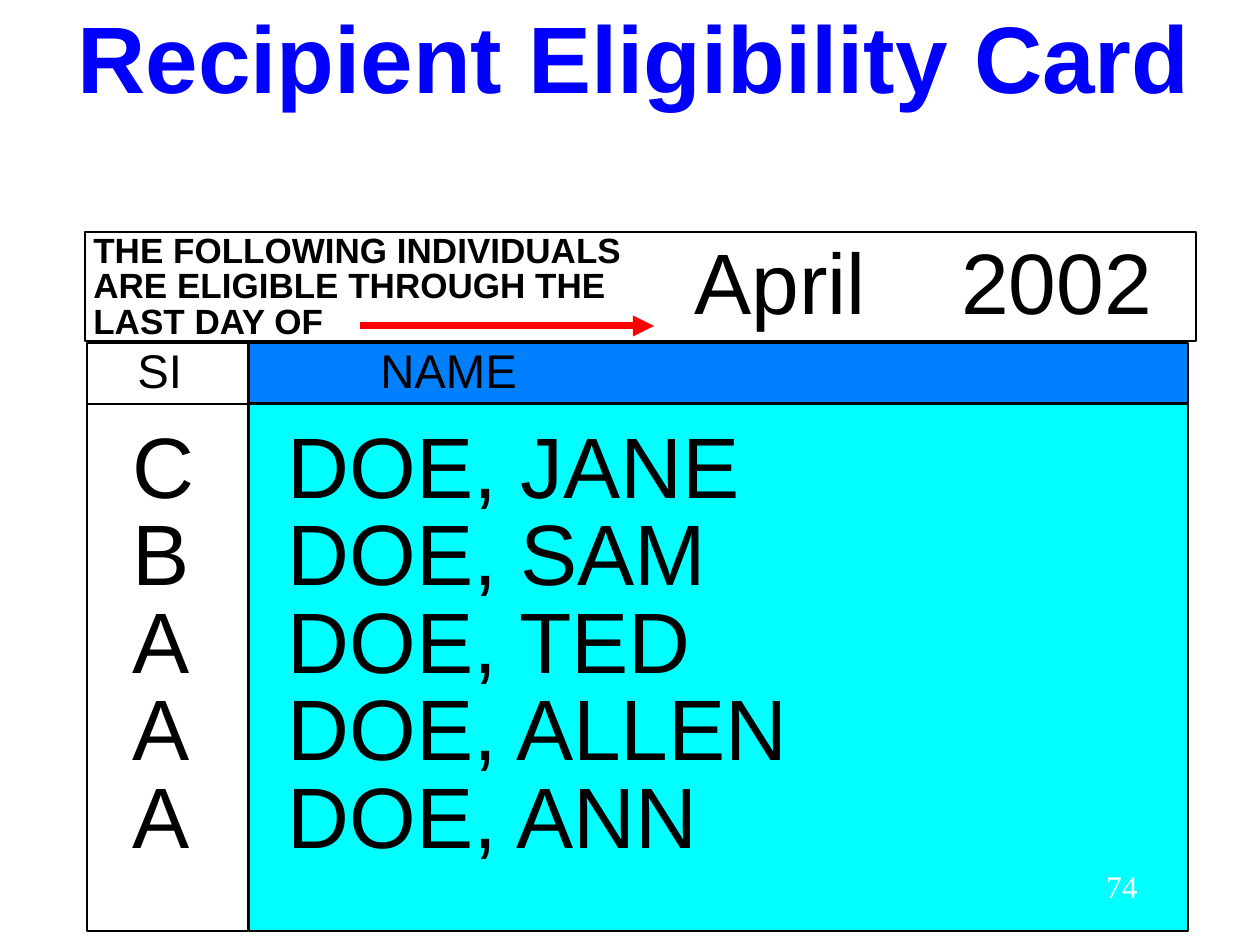
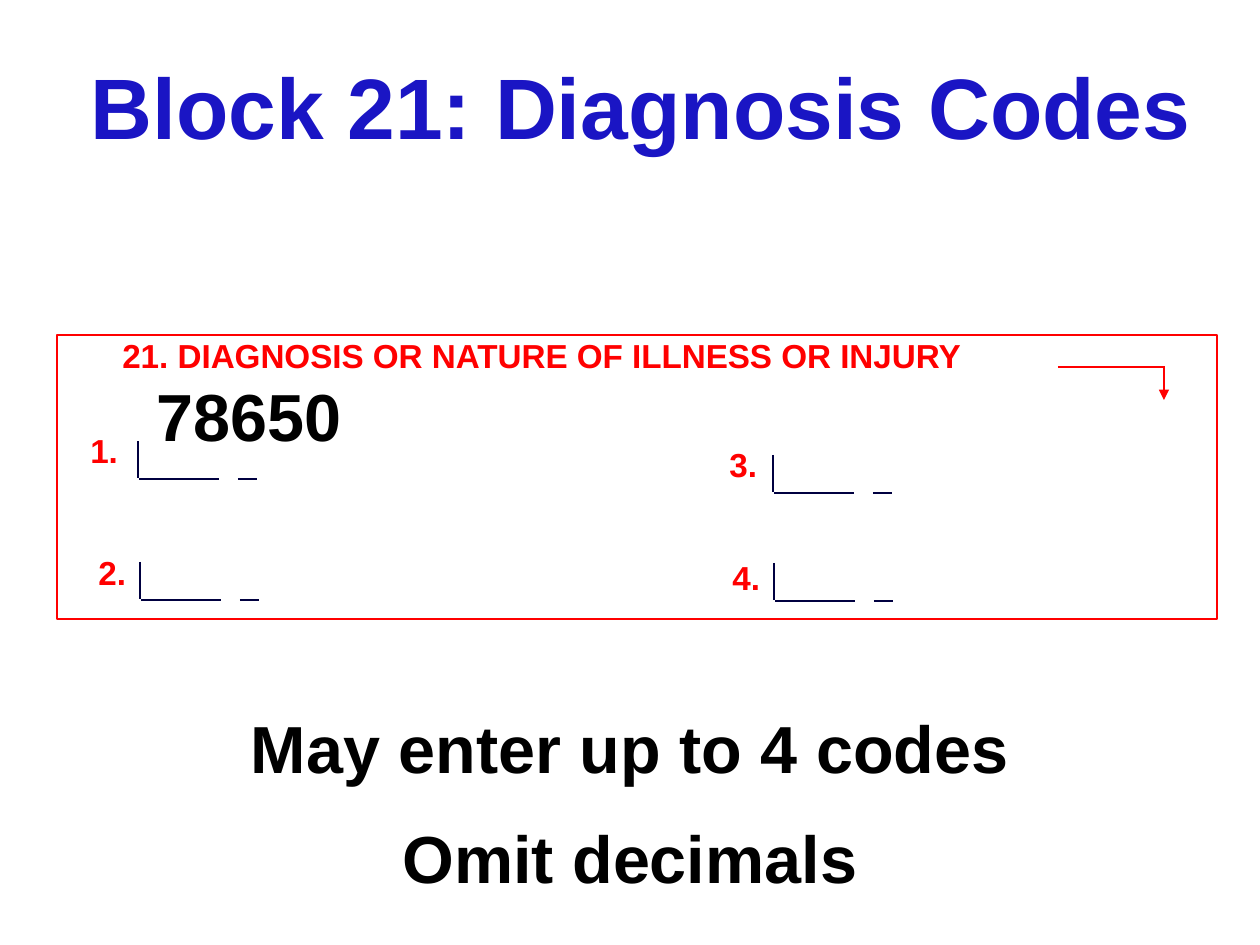
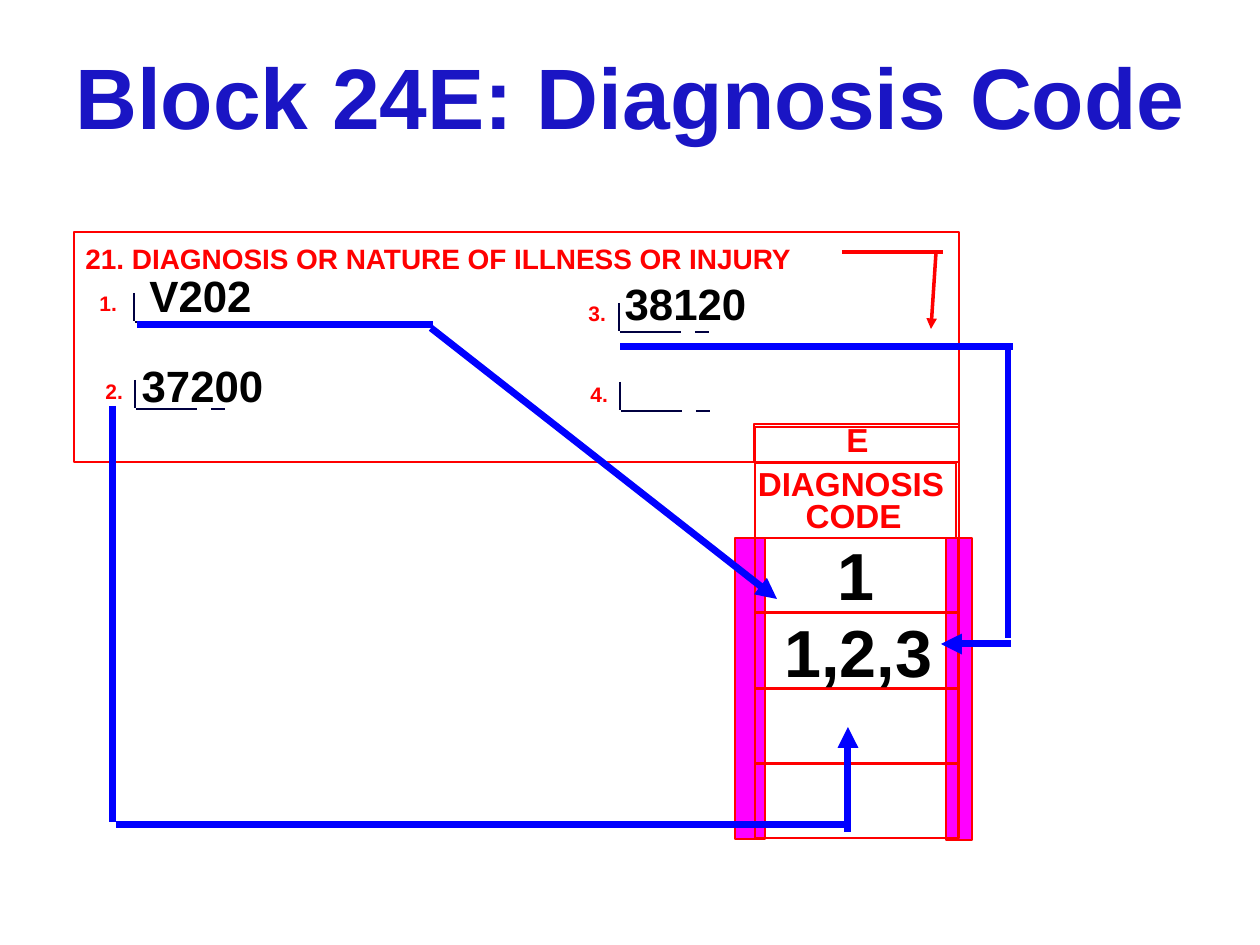
from lxml.etree import SubElement
from pptx import Presentation
from pptx.dml.color import RGBColor
from pptx.enum.shapes import MSO_CONNECTOR, MSO_SHAPE
from pptx.enum.text import MSO_ANCHOR, MSO_AUTO_SIZE, PP_ALIGN
from pptx.oxml.ns import qn
from pptx.util import Emu, Inches, Pt

PX = 914400 / 126
COLORS = {
    "black": "000000", "white": "FFFFFF", "red": "FF0000", "blue": "0000FF",
    "title": "1A15C4", "navy": "000040", "cyan": "00FFFF",
    "azure": "0080FF", "magenta": "FF00FF",
}
TWO_LISTS, ONE_LIST, TITLE_ONLY = 3, 1, 5

CARD_TITLE = "Recipient Eligibility Card"
RECIPIENTS = [("C", "DOE, JANE"), ("B", "DOE, SAM"), ("A", "DOE, TED"),
              ("A", "DOE, ALLEN"), ("A", "DOE, ANN")]
CARD_PANELS = [
    ((85, 232, 1111, 109), "white"),
    ((87, 343, 161, 588), "white"),
    ((249, 404, 939, 527), "cyan"),
    ((249, 343, 939, 60), "azure"),
]
CARD_HEADS = [("SI", (125, 344, 69, 60)), ("NAME", (368, 344, 161, 60))]
CARD_NOTICE = ["THE FOLLOWING INDIVIDUALS", "ARE ELIGIBLE THROUGH THE", "LAST DAY OF"]
CARD_DATE = [("April", (682, 238, 240, 100)), ("2002", (949, 238, 240, 100))]
CARD_NUMBER = "74"

DIAGNOSIS_HEADING = "21. DIAGNOSIS OR NATURE OF ILLNESS OR INJURY"
CODE_RULES = ["May enter up to 4 codes", "Omit decimals"]
CODE_BLOCK = {
    "frame": (57, 335, 1160, 284),
    "heading": (110, 329, 868, 52), "heading_size": 19,
    "label_box": (53, 52), "label_size": 19,
    "labels": [(78, 424), (86, 546), (717, 438), (720, 551)],
    "corners": [(138, 441), (140, 562), (773, 455), (774, 563)],
    "scale": 1,
    "codes": [("78650", (144, 369, 210, 92))], "code_size": 38,
    "pointer": [(1058, 367, 1165, 367), (1164, 367, 1164, 400)], "pointer_width": 1,
}
LINKED_BLOCK = {
    "frame": (74, 232, 885, 230),
    "heading": (73, 236, 735, 45), "heading_size": 16,
    "label_box": (43, 38), "label_size": 12,
    "labels": [(87, 284), (93, 372), (576, 294), (578, 375)],
    "corners": [(134, 293), (135, 380), (619, 303), (620, 382)],
    "scale": 0.76,
    "codes": [("V202", (118, 263, 165, 64)), ("37200", (121, 353, 163, 64)),
              ("38120", (605, 271, 161, 64))], "code_size": 25,
    "pointer": [(842, 252, 943, 252), (936, 253, 931, 329)], "pointer_width": 2,
}
COLUMN_BARS = [(735, 538, 30, 301), (946, 538, 26, 302)]
COLUMN_FRAMES = [(754, 424, 205, 38), (755, 463, 201, 75), (755, 427, 204, 411)]
COLUMN_ROWS, ROW_TOP, ROW_STEP = 4, 538, 75.5
COLUMN_TEXTS = [
    ("E", (834, 413, 47, 52), 19, "red"),
    ("DIAGNOSIS", (745, 457, 212, 52), 19, "red"),
    ("CODE", (793, 489, 121, 52), 19, "red"),
    ("1", (825, 528, 62, 92), 38, "black"),
    ("1,2,3", (772, 605, 173, 92), 38, "black"),
]
CODE_LINKS = [
    ((433, 325, 137, 325), False), ((431, 328, 777, 599), True),
    ((113, 406, 113, 822), False), ((116, 825, 848, 825), False),
    ((848, 832, 848, 727), True),
    ((1013, 347, 620, 347), False), ((1008, 345, 1008, 638), False),
    ((1011, 644, 941, 644), True),
]


def px(*lengths):
    return [Emu(round(length * PX)) for length in lengths]


def color(name):
    return RGBColor.from_string(COLORS[name])


def write(shape, place, lines, size, ink="black", bold=False, align=PP_ALIGN.LEFT,
          anchor=MSO_ANCHOR.BOTTOM, spacing=1.0, gap=0, font="Arial", wrap=False,
          inset=0.1):
    shape.left, shape.top, shape.width, shape.height = px(*place)
    frame = shape.text_frame
    frame.text = "\n".join(lines)
    frame.word_wrap = wrap
    frame.auto_size = MSO_AUTO_SIZE.NONE
    frame.vertical_anchor = anchor
    frame.margin_left = frame.margin_right = Inches(inset)
    frame.margin_top = frame.margin_bottom = Inches(0.05)
    for index, paragraph in enumerate(frame.paragraphs):
        properties = paragraph._p.get_or_add_pPr()
        properties.set("marL", "0")
        properties.set("indent", "0")
        SubElement(properties, qn("a:buNone"))
        paragraph.alignment = align
        paragraph.line_spacing = spacing
        paragraph.space_before = Pt(gap if index else 0)
        for span in paragraph.runs:
            span.font.name = font
            span.font.size = Pt(size)
            span.font.bold = bold
            span.font.color.rgb = color(ink)


def add_text(page, place, lines, size, **style):
    write(page.shapes.add_textbox(*px(*place)), place, lines, size, **style)


def fill_list(page, index, place, lines, size, **style):
    body = page.placeholders[index]
    body.element.getparent().append(body.element)
    write(body, place, lines, size, **style)


def add_page(deck, layout, title, place, size=49, ink="title", **style):
    page = deck.slides.add_slide(deck.slide_layouts[layout])
    write(page.shapes.title, place, [title], size, ink=ink, bold=True,
          align=PP_ALIGN.CENTER, inset=0, **style)
    return page


def add_panel(page, place, fill=None, edge="red"):
    panel = page.shapes.add_shape(MSO_SHAPE.RECTANGLE, *px(*place))
    panel.shadow.inherit = False
    if fill:
        panel.fill.solid()
        panel.fill.fore_color.rgb = color(fill)
    else:
        panel.fill.background()
    panel.line.color.rgb = color(edge)
    panel.line.width = Pt(1)


def add_line(page, ends, ink, width=1, arrow=False):
    line = page.shapes.add_connector(MSO_CONNECTOR.STRAIGHT, *px(*ends))
    line.line.color.rgb = color(ink)
    line.line.width = Pt(width)
    if arrow:
        SubElement(line.line._get_or_add_ln(), qn("a:tailEnd"), type="triangle")
    SubElement(line.element.spPr, qn("a:effectLst"))


def add_entry_mark(page, x, y, scale):
    for x1, y1, x2, y2 in [(0, 0, 0, 37), (1, 38, 81, 38), (100, 38, 119, 38)]:
        ends = (x + x1 * scale, y + y1 * scale, x + x2 * scale, y + y2 * scale)
        add_line(page, ends, "navy")


def add_diagnosis_block(page, block):
    add_panel(page, block["frame"])
    for corner in block["corners"]:
        add_entry_mark(page, *corner, block["scale"])
    add_text(page, block["heading"], [DIAGNOSIS_HEADING], block["heading_size"],
             ink="red", bold=True)
    for number, spot in enumerate(block["labels"], 1):
        add_text(page, spot + block["label_box"], [f"{number}."], block["label_size"],
                 ink="red", bold=True)
    for code, place in block["codes"]:
        add_text(page, place, [code], block["code_size"], bold=True, align=PP_ALIGN.CENTER)
    start, end = block["pointer"]
    add_line(page, start, "red", block["pointer_width"])
    add_line(page, end, "red", block["pointer_width"], arrow=True)


def build_card(deck):
    card = {"anchor": MSO_ANCHOR.MIDDLE, "spacing": 0.85}
    page = add_page(deck, TWO_LISTS, CARD_TITLE, (60, 11, 1148, 108), 54, "blue", **card)
    for place, fill in CARD_PANELS:
        add_panel(page, place, fill, "black")
    indicators, names = zip(*RECIPIENTS)
    fill_list(page, 1, (120, 422, 87, 450), indicators, 49, **card)
    fill_list(page, 2, (275, 422, 529, 450), names, 49, **card)
    for head, place in CARD_HEADS:
        add_text(page, place, [head], 27, **card)
    add_line(page, (248, 404, 86, 404), "black")
    add_text(page, (81, 228, 553, 120), CARD_NOTICE, 20, bold=True, **card)
    for part, place in CARD_DATE:
        add_text(page, place, [part], 49, wrap=True, **card)
    add_line(page, (360, 326, 654, 326), "red", 4, arrow=True)
    add_text(page, (903, 861, 247, 63), [CARD_NUMBER], 18, ink="white", wrap=True,
             font="Times New Roman", align=PP_ALIGN.RIGHT, anchor=MSO_ANCHOR.TOP)


def build_codes(deck):
    page = add_page(deck, ONE_LIST, "Block 21: Diagnosis Codes", (78, 48, 1125, 115))
    add_diagnosis_block(page, CODE_BLOCK)
    fill_list(page, 1, (238, 701, 784, 202), CODE_RULES, 38, bold=True,
              align=PP_ALIGN.CENTER, gap=17)


def build_links(deck):
    page = add_page(deck, TITLE_ONLY, "Block 24E: Diagnosis Code", (63, 38, 1134, 115))
    add_diagnosis_block(page, LINKED_BLOCK)
    for place in COLUMN_BARS:
        add_panel(page, place, "magenta")
    for place in COLUMN_FRAMES:
        add_panel(page, place)
    for row in range(COLUMN_ROWS):
        add_panel(page, (755, ROW_TOP + row * ROW_STEP, 203, 74))
    for text, place, size, ink in COLUMN_TEXTS:
        add_text(page, place, [text], size, ink=ink, bold=True, align=PP_ALIGN.CENTER)
    for ends, arrow in CODE_LINKS:
        add_line(page, ends, "blue", 4, arrow)


def main():
    deck = Presentation()
    deck.slide_width, deck.slide_height = px(1260, 945)
    build_card(deck)
    build_codes(deck)
    build_links(deck)
    deck.save("out.pptx")


if __name__ == "__main__":
    main()
